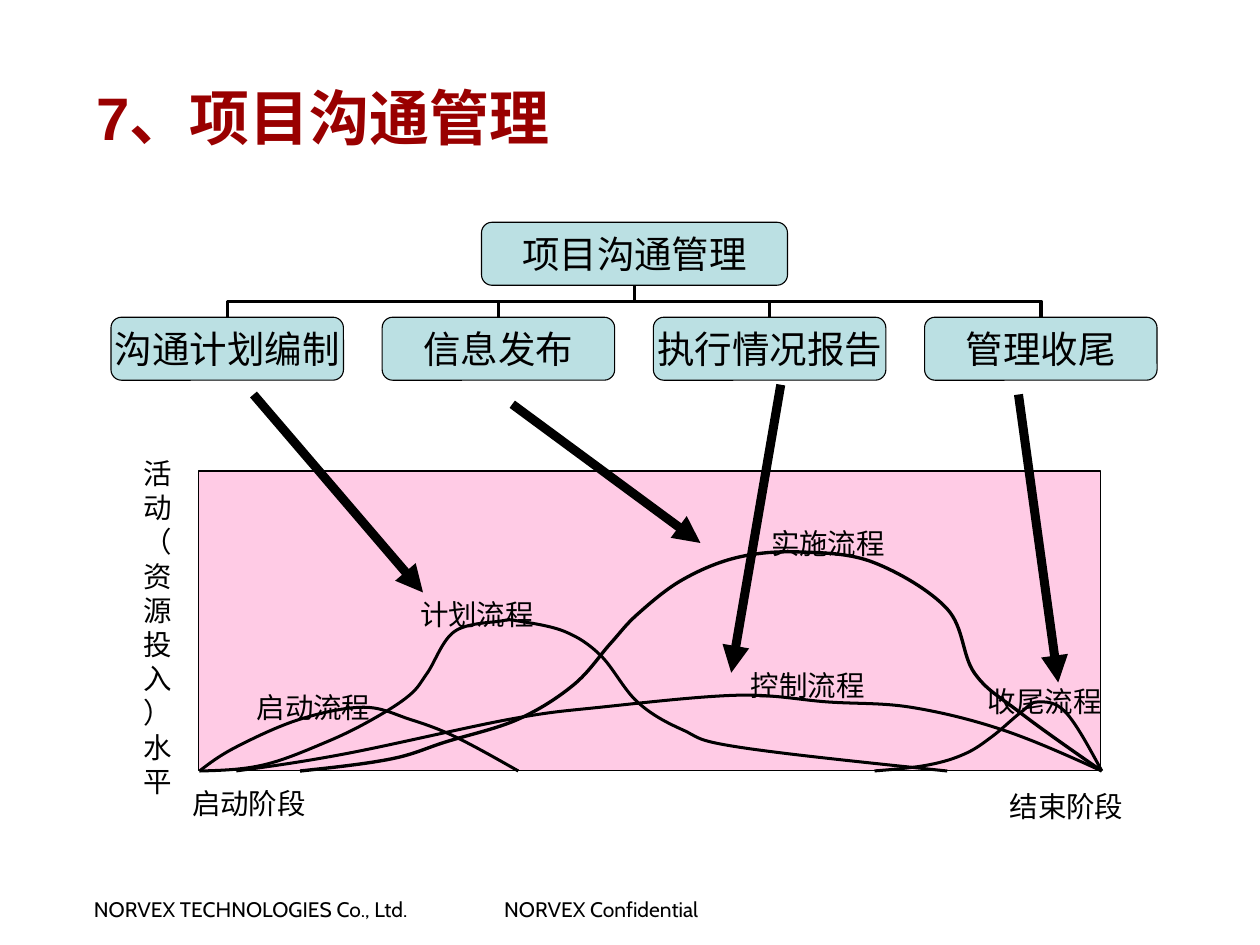
from lxml import etree
from pptx import Presentation
from pptx.dml.color import RGBColor
from pptx.enum import shapes, text
from pptx.oxml import ns
from pptx.util import Pt

COLORS = {"black": "000000", "title": "990000", "box": "BBE0E3", "chart": "FF99CC"}
MIDDLE = text.MSO_ANCHOR.MIDDLE
CENTER = text.PP_ALIGN.CENTER


def style(s, line, fill=None):
    """Set outline width and fill, and drop the shadow."""
    s.line.color.rgb = RGBColor.from_string(COLORS["black"])
    s.line.width = Pt(line)
    if hasattr(s, "fill"):
        s.shadow.inherit = False
        if fill:
            s.fill.solid()
            s.fill.fore_color.rgb = RGBColor.from_string(COLORS[fill])
        else:
            s.fill.background()
    else:
        etree.SubElement(s._element.spPr, ns.qn("a:effectLst"))


def write(s, words, size, font, color="black", bold=False, align=CENTER, inset=(7.2, 3.6), **frame):
    tf = s.text_frame
    x, y = inset
    margins = {"margin_left": Pt(x), "margin_right": Pt(x), "margin_top": Pt(y), "margin_bottom": Pt(y)}
    for name, value in {"word_wrap": True, **margins, **frame}.items():
        setattr(tf, name, value)
    p = tf.paragraphs[0]
    p.alignment = align
    r = p.add_run()
    r.text = words
    for name, value in {"size": Pt(size), "name": font, "bold": bold}.items():
        setattr(r.font, name, value)
    r.font.color.rgb = RGBColor.from_string(COLORS[color])


prs = Presentation()
prs.slide_width, prs.slide_height = Pt(840), Pt(630)
slide = prs.slides.add_slide(prs.slide_layouts[6])
add = slide.shapes

# Title and footer
for words, box, size, font, color, bold, anchor in [
    ("NORVEX TECHNOLOGIES Co., Ltd.", (55.5, 594, 243, 24), 14, "Cabin", "black", False, text.MSO_ANCHOR.TOP),
    ("NORVEX Confidential", (329, 594, 163, 24), 14, "Cabin", "black", False, text.MSO_ANCHOR.TOP),
    ("7、项目沟通管理", (57, 25, 741, 105), 40, "Arial", "title", True, MIDDLE),
]:
    s = add.add_textbox(*map(Pt, box))
    write(s, words, size, font, color, bold, text.PP_ALIGN.LEFT, vertical_anchor=anchor)

# Organisation chart
processes = ["沟通计划编制", "信息发布", "执行情况报告", "管理收尾"]
boxes = [("项目沟通管理", 321, 148.2, 204)]
boxes += [(name, 74 + 180.8 * i, 211.5, 155) for i, name in enumerate(processes)]
nodes = []
for name, x, y, w in boxes:
    s = add.add_shape(shapes.MSO_SHAPE.ROUNDED_RECTANGLE, Pt(x), Pt(y), Pt(w), Pt(42))
    style(s, 0.75, "box")
    write(s, name, 25, "Arial", inset=(6.5, 3.6), word_wrap=False, vertical_anchor=MIDDLE)
    nodes.append(s)

parent, *children = nodes
for child in children:
    x1, y1 = child.left + child.width // 2, child.top
    x2, y2 = parent.left + parent.width // 2, parent.top + parent.height
    c = add.add_connector(shapes.MSO_CONNECTOR.ELBOW, x1, y1, x2, y2)
    c.begin_connect(child, 0)
    c.end_connect(parent, 2)
    # The elbow leaves vertically, so its frame is turned by 270 degrees
    c.width, c.height = y1 - y2, abs(x1 - x2)
    c.left, c.top = (x1 + x2 - c.width) // 2, (y1 + y2 - c.height) // 2
    xfrm = c._element.spPr.find(ns.qn("a:xfrm"))
    for name, value in {"rot": "16200000", "flipH": "0", "flipV": str(int(x1 > x2))}.items():
        xfrm.set(name, value)
    style(c, 2.25)

# Activity chart
plot = add.add_shape(shapes.MSO_SHAPE.RECTANGLE, Pt(132.5), Pt(314), Pt(601), Pt(200))
style(plot, 0.75, "chart")
plot_color = plot._element.spPr.find(".//" + ns.qn("a:srgbClr"))
etree.SubElement(plot_color, ns.qn("a:alpha"), val="50000")

curves = {
    "启动": (2, [(133, 514), (157.5, 498), (200, 479.5), (242.5, 471.5), (273, 479.5), (303, 491), (345.5, 514)]),
    "计划": (2, [(133, 514), (175.5, 510), (218, 494.5), (248.5, 479.5), (273, 463.5), (285, 448.5),
               (303, 421), (334, 414), (345.5, 414), (376.5, 421), (400.5, 437), (425, 468),
               (455, 486.5), (492, 498), (631.5, 514)]),
    "实施": (2.25, [(200, 514), (260.5, 506), (297.5, 494.5), (345.5, 479.5), (382.5, 456.5), (407, 429),
                  (425, 409.5), (455, 386.5), (492, 371.5), (534, 368), (582.5, 375), (631.5, 406),
                  (649.5, 448.5), (680, 475), (734.5, 514)]),
    "控制": (2, [(157.5, 514), (230.5, 502.5), (340, 479.5), (400.5, 471.5), (492, 463.5), (552, 468),
               (607, 471.5), (668, 486.5), (734.5, 514)]),
    "收尾": (2, [(583, 514), (619, 510), (643.5, 502.5), (661.5, 491), (680.5, 475), (692, 468),
               (710.5, 475), (734.5, 514)]),
}
for width, knots in curves.values():
    # Each inner knot takes the direction of the chord between its neighbours
    slopes = [((c[0] - a[0]) / 6, (c[1] - a[1]) / 6) for a, c in zip(knots, knots[2:])]
    outs = [(x + dx, y + dy) for (x, y), (dx, dy) in zip(knots[1:], slopes)]
    ins = [(x - dx, y - dy) for (x, y), (dx, dy) in zip(knots[1:], slopes)]
    outs.insert(0, ((knots[0][0] + ins[0][0]) / 2, (knots[0][1] + ins[0][1]) / 2))
    ins.append(((knots[-1][0] + outs[-1][0]) / 2, (knots[-1][1] + outs[-1][1]) / 2))
    points = [pt for trio in zip(outs, ins, knots[1:]) for pt in trio]
    builder = add.build_freeform(*map(Pt, knots[0]))
    builder.add_line_segments([(Pt(x), Pt(y)) for x, y in points], close=False)
    s = builder.convert_to_shape()
    style(s, width)
    steps = s._element.findall(".//" + ns.qn("a:lnTo"))
    for i in range(0, len(steps), 3):
        bezier = etree.Element(ns.qn("a:cubicBezTo"))
        steps[i].addprevious(bezier)
        for step in steps[i:i + 3]:
            bezier.append(step[0])
            step.getparent().remove(step)

for words, x, y, w in [
    ("启动阶段", 119.5, 520, 93), ("启动流程", 139, 456, 140), ("计划流程", 245, 394, 146),
    ("实施流程", 476, 346.5, 152), ("控制流程", 456.5, 441, 164), ("收尾流程", 641.5, 451.5, 110),
    ("结束阶段", 657.5, 522, 107),
]:
    s = add.add_textbox(Pt(x), Pt(y), Pt(w), Pt(31))
    write(s, words, 19, "DejaVu Sans", inset=(8.5, 4.3))

axis = add.add_textbox(Pt(85.5), Pt(299.5), Pt(39), Pt(237))
write(axis, "活动（资源投入）水平", 19, "DejaVu Sans", inset=(8, 4.3), vertical_anchor=MIDDLE)

# Arrows from each process to its curve
for ends in [(169, 263, 282, 395), (341.5, 269.5, 467, 362), (520.5, 256.5, 487.5, 448.5), (679, 263, 705.5, 455)]:
    c = add.add_connector(shapes.MSO_CONNECTOR.STRAIGHT, *map(Pt, ends))
    style(c, 6)
    etree.SubElement(c.line._get_or_add_ln(), ns.qn("a:tailEnd"), type="triangle")

prs.save("out.pptx")
